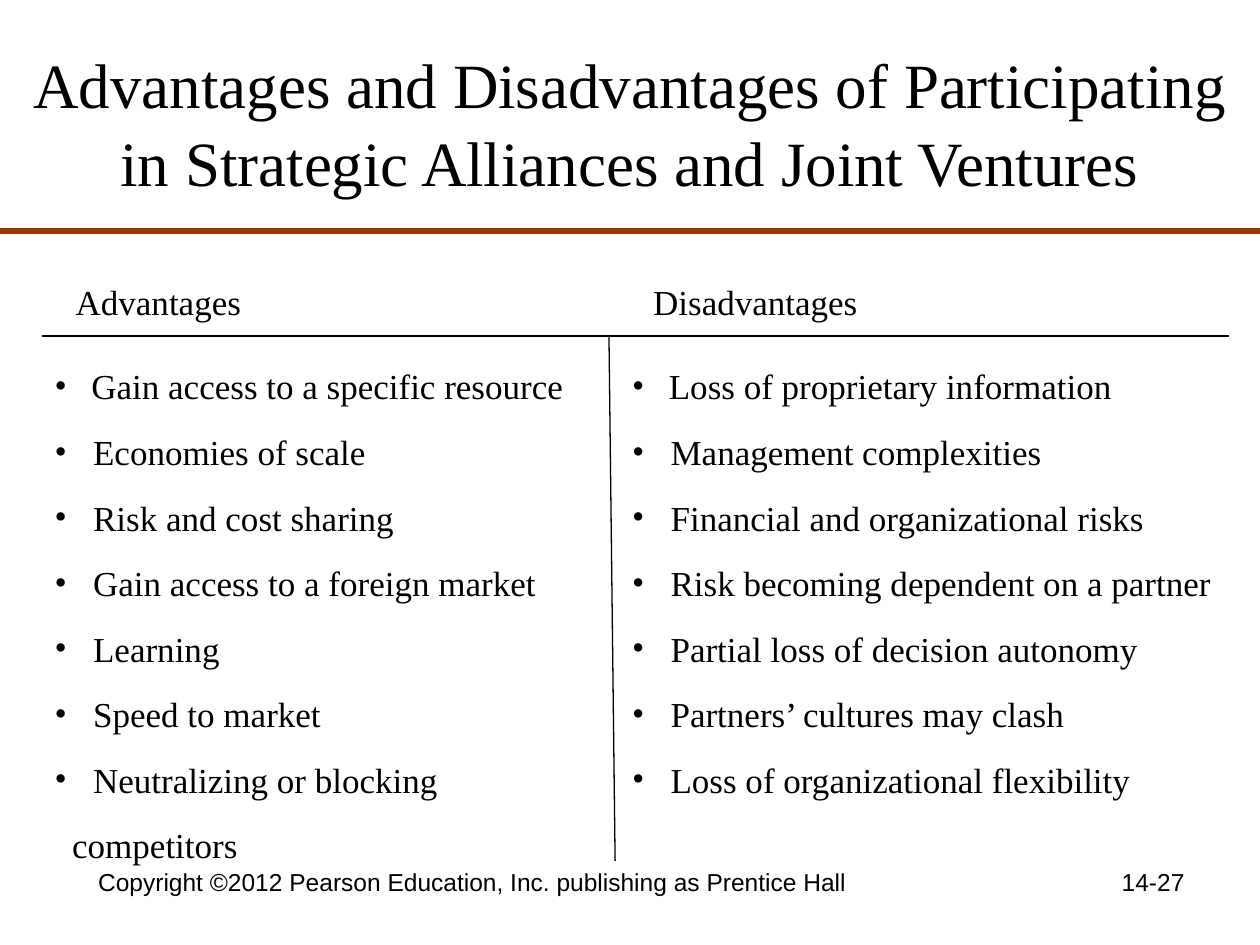
from lxml.etree import SubElement
from pptx import Presentation
from pptx.dml.color import RGBColor
from pptx.enum.shapes import MSO_CONNECTOR as Connector
from pptx.enum.text import MSO_ANCHOR as Anchor, MSO_AUTO_SIZE as AutoSize, PP_ALIGN as Align
from pptx.oxml.ns import qn
from pptx.util import Pt

BLACK = "000000"
RUST = "993300"
SERIF = "Times New Roman"
SANS = "Arial"
BODY_SIZE = 20
LEFT_TEXT, RIGHT_TEXT = 36, 366
ADVANTAGES = [
    "Gain access to a specific resource", "Economies of scale",
    "Risk and cost sharing", "Gain access to a foreign market",
    "Learning", "Speed to market", "Neutralizing or blocking",
]
DISADVANTAGES = [
    "Loss of proprietary information", "Management complexities",
    "Financial and organizational risks",
    "Risk becoming dependent on a partner",
    "Partial loss of decision autonomy", "Partners’ cultures may clash",
    "Loss of organizational flexibility",
]


def color(hex_code):
    """Turn a hex string into a colour."""
    return RGBColor.from_string(hex_code)


def place(holder, left, top, width, height, anchor=Anchor.TOP):
    """Position a text holder and return its prepared text frame."""
    holder.left, holder.top = Pt(left), Pt(top)
    holder.width, holder.height = Pt(width), Pt(height)
    frame = holder.text_frame
    frame.word_wrap = True
    frame.auto_size = AutoSize.NONE
    frame.vertical_anchor = anchor
    return frame


def write(paragraph, text, size, font=SERIF, align=Align.LEFT, spacing=1.04):
    """Add one formatted run to a paragraph."""
    paragraph.alignment = align
    paragraph.line_spacing = spacing
    paragraph.space_before = Pt(0)
    run = paragraph.add_run()
    run.text = text
    run.font.size = Pt(size)
    run.font.name = font
    run.font.bold = False
    run.font.color.rgb = color(BLACK)


def set_bullet(paragraph, indent, size):
    """Give a paragraph a black bullet with a hanging indent."""
    properties = paragraph._p.get_or_add_pPr()
    properties.set("marL", str(Pt(indent)))
    properties.set("indent", str(-Pt(indent)))
    bullet_color = SubElement(properties, qn("a:buClr"))
    SubElement(bullet_color, qn("a:srgbClr"), val=BLACK)
    SubElement(properties, qn("a:buSzPts"), val=str(size * 100))
    SubElement(properties, qn("a:buFont"), typeface=SERIF)
    SubElement(properties, qn("a:buChar"), char="•")


def set_plain(paragraph, indent):
    """Indent a paragraph without a bullet."""
    properties = paragraph._p.get_or_add_pPr()
    properties.set("marL", str(Pt(indent)))
    properties.set("indent", "0")
    SubElement(properties, qn("a:buNone"))


def add_list(frame, points, continuation=None):
    """Fill a frame with bulleted points and an optional unbulleted last line."""
    for index, point in enumerate(points):
        paragraph = frame.add_paragraph() if index else frame.paragraphs[0]
        set_bullet(paragraph, *((22, BODY_SIZE) if index else (21, 16)))
        write(paragraph, point, BODY_SIZE)
        if index:
            paragraph.space_before = Pt(12.5)
    if continuation:
        paragraph = frame.add_paragraph()
        set_plain(paragraph, 10)
        write(paragraph, continuation, BODY_SIZE)
        paragraph.space_before = Pt(12.5)


def add_rule(slide, start, end, line_color, width):
    """Draw a straight line without a shadow."""
    rule = slide.shapes.add_connector(
        Connector.STRAIGHT, *(Pt(value) for value in start + end))
    rule.line.color.rgb = color(line_color)
    rule.line.width = Pt(width)
    SubElement(rule._element.spPr, qn("a:effectLst"))


def add_footer(slide, text, left, width, align):
    """Add a footer text along the bottom edge."""
    box = slide.shapes.add_textbox(0, 0, 0, 0)
    frame = place(box, left, 492, width, 37.5)
    write(frame.paragraphs[0], text, 14, SANS, align, 1.0)


def main():
    """Build and save the slide."""
    deck = Presentation()
    deck.slide_width, deck.slide_height = Pt(720), Pt(540)
    slide = deck.slides.add_slide(deck.slide_layouts.get_by_name("Comparison"))
    title, left_head, left_list, right_head, right_list = slide.placeholders

    heading = place(title, 0, 24, 720, 90, Anchor.MIDDLE)
    write(heading.paragraphs[0],
          "Advantages and Disadvantages of Participating in Strategic "
          "Alliances and Joint Ventures", 36, align=Align.CENTER)

    add_rule(slide, (0, 132), (720, 132), RUST, 3)
    add_rule(slide, (24, 192), (702, 192), BLACK, 0.75)
    add_rule(slide, (348, 192), (351.5, 492), BLACK, 0.75)

    for head, text, left in ((left_head, "Advantages", LEFT_TEXT),
                             (right_head, "Disadvantages", RIGHT_TEXT)):
        write(place(head, left, 156, 198, 31.5).paragraphs[0], text, BODY_SIZE)

    add_list(place(left_list, 24, 204, 318, 287.5), ADVANTAGES, "competitors")
    add_list(place(right_list, 354, 204, 348, 250.5), DISADVANTAGES)

    add_footer(slide, "Copyright ©2012 Pearson Education, Inc. publishing as "
               "Prentice Hall", 36, 468, Align.CENTER)
    add_footer(slide, "14-27", 516, 168, Align.RIGHT)
    deck.save("out.pptx")


if __name__ == "__main__":
    main()
